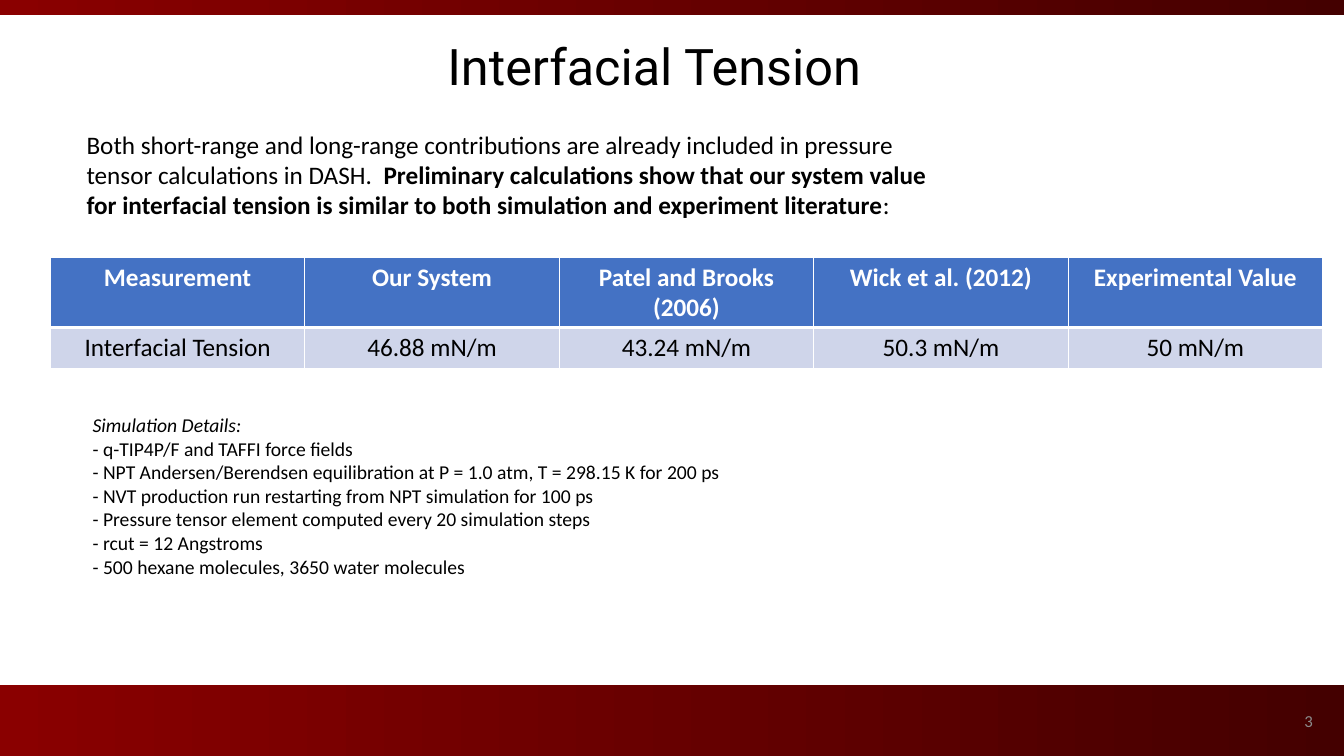
from dataclasses import dataclass

from lxml.etree import SubElement
from pptx import Presentation
from pptx.dml.color import RGBColor
from pptx.enum.shapes import MSO_SHAPE
from pptx.enum.text import MSO_ANCHOR, MSO_AUTO_SIZE, PP_ALIGN
from pptx.oxml.ns import qn
from pptx.slide import Slide
from pptx.table import _Cell
from pptx.text.text import TextFrame, _Paragraph
from pptx.util import Inches, Pt


@dataclass(frozen=True)
class Theme:
    title_font: str = "Roboto"
    body_font: str = "Calibri"
    title_size: int = 36
    body_size: int = 18
    detail_size: int = 14
    number_size: int = 12
    black: str = "000000"
    white: str = "FFFFFF"
    grey: str = "8C8C8C"
    band_start: str = "8A0000"
    band_end: str = "440000"
    header_fill: str = "4472C4"
    row_fill: str = "CFD5EA"


@dataclass(frozen=True)
class Box:
    left: float
    top: float
    width: float
    height: float

    def lengths(self) -> tuple[int, int, int, int]:
        return (Inches(self.left), Inches(self.top),
                Inches(self.width), Inches(self.height))


@dataclass(frozen=True)
class TextRun:
    text: str
    bold: bool = False
    italic: bool = False


@dataclass(frozen=True)
class RowStyle:
    height: float
    fill: str
    color: str
    bold: bool
    top_border: int
    bottom_border: int


THEME = Theme()
BANDS = [Box(0, 6.8, 13.33, 0.7), Box(0, 0, 13.33, 0.15)]
TITLE_BOX = Box(1.1, 0.3, 10.78, 0.71)
NUMBER_BOX = Box(10.12, 6.95, 3, 0.4)
SUMMARY_BOX = Box(0.76, 1.23, 8.72, 1.01)
TABLE_BOX = Box(0.5, 2.55, 12.62, 1.11)
DETAILS_BOX = Box(0.82, 4.05, 7.8, 1.75)

SUMMARY = [
    TextRun("Both short-range and long-range contributions are already included "
            "in pressure tensor calculations in DASH.  "),
    TextRun("Preliminary calculations show that our system value for interfacial "
            "tension is similar to both simulation and experiment literature", bold=True),
    TextRun(":"),
]
DETAILS = [
    "- q-TIP4P/F and TAFFI force fields",
    "- NPT Andersen/Berendsen equilibration at P = 1.0 atm, T = 298.15 K for 200 ps",
    "- NVT production run restarting from NPT simulation for 100 ps",
    "- Pressure tensor element computed every 20 simulation steps",
    "- rcut = 12 Angstroms",
    "- 500 hexane molecules, 3650 water molecules",
]
MEASUREMENTS = [
    ["Measurement", "Our System", "Patel and Brooks (2006)",
     "Wick et al. (2012)", "Experimental Value"],
    ["Interfacial Tension", "46.88 mN/m", "43.24 mN/m", "50.3 mN/m", "50 mN/m"],
]
ROW_STYLES = [
    RowStyle(0.7, THEME.header_fill, THEME.white, True, 1, 3),
    RowStyle(0.41, THEME.row_fill, THEME.black, False, 3, 1),
]


def format_runs(paragraph: _Paragraph, size: int, color: str = THEME.black,
                font: str = THEME.body_font) -> None:
    for run in paragraph.runs:
        run.font.name = font
        run.font.size = Pt(size)
        run.font.color.rgb = RGBColor.from_string(color)


def fill_text(frame: TextFrame, lines: list[list[TextRun]], size: int) -> None:
    for index, line in enumerate(lines):
        paragraph = frame.paragraphs[0] if index == 0 else frame.add_paragraph()
        for part in line:
            run = paragraph.add_run()
            run.text = part.text
            run.font.bold = part.bold
            run.font.italic = part.italic
        format_runs(paragraph, size)


def add_text_box(slide: Slide, box: Box) -> TextFrame:
    frame = slide.shapes.add_textbox(*box.lengths()).text_frame
    frame.word_wrap = True
    return frame


def add_band(slide: Slide, box: Box) -> None:
    band = slide.shapes.add_shape(MSO_SHAPE.RECTANGLE, *box.lengths())
    band.shadow.inherit = False
    band.line.fill.background()
    band.fill.gradient()
    band.fill.gradient_angle = 0
    for stop, color in zip(band.fill.gradient_stops, (THEME.band_start, THEME.band_end)):
        stop.color.rgb = RGBColor.from_string(color)


def set_title(slide: Slide, text: str) -> None:
    title = slide.shapes.title
    title.left, title.top, title.width, title.height = TITLE_BOX.lengths()
    frame = title.text_frame
    frame.text = text
    frame.word_wrap = True
    frame.auto_size = MSO_AUTO_SIZE.SHAPE_TO_FIT_TEXT
    frame.vertical_anchor = MSO_ANCHOR.TOP
    frame.paragraphs[0].alignment = PP_ALIGN.CENTER
    format_runs(frame.paragraphs[0], THEME.title_size, font=THEME.title_font)


def set_borders(cell: _Cell, style: RowStyle) -> None:
    properties = cell._tc.get_or_add_tcPr()
    widths = {"a:lnL": 1, "a:lnR": 1, "a:lnT": style.top_border, "a:lnB": style.bottom_border}
    for tag, width in widths.items():
        line = SubElement(properties, qn(tag), w=str(Pt(width)))
        SubElement(SubElement(line, qn("a:solidFill")), qn("a:srgbClr"), val=THEME.white)


def add_measurement_table(slide: Slide) -> None:
    column_count = len(MEASUREMENTS[0])
    table = slide.shapes.add_table(
        len(MEASUREMENTS), column_count, *TABLE_BOX.lengths()).table
    for column in table.columns:
        column.width = Inches(TABLE_BOX.width / column_count)
    for row, values, style in zip(table.rows, MEASUREMENTS, ROW_STYLES):
        row.height = Inches(style.height)
        for cell, value in zip(row.cells, values):
            set_borders(cell, style)
            cell.fill.solid()
            cell.fill.fore_color.rgb = RGBColor.from_string(style.fill)
            cell.text_frame.text = value
            paragraph = cell.text_frame.paragraphs[0]
            paragraph.alignment = PP_ALIGN.CENTER
            format_runs(paragraph, THEME.body_size, style.color)
            paragraph.runs[0].font.bold = style.bold


def add_slide_number(slide: Slide, number: str) -> None:
    frame = add_text_box(slide, NUMBER_BOX)
    frame.text = number
    frame.vertical_anchor = MSO_ANCHOR.MIDDLE
    frame.paragraphs[0].alignment = PP_ALIGN.RIGHT
    format_runs(frame.paragraphs[0], THEME.number_size, THEME.grey)


def main() -> None:
    presentation = Presentation()
    presentation.slide_width = Inches(13.33)
    presentation.slide_height = Inches(7.5)
    slide = presentation.slides.add_slide(
        presentation.slide_layouts.get_by_name("Title Only"))
    for band in BANDS:
        add_band(slide, band)
    add_slide_number(slide, "3")
    set_title(slide, "Interfacial Tension")
    fill_text(add_text_box(slide, SUMMARY_BOX), [SUMMARY], THEME.body_size)
    add_measurement_table(slide)
    details = [[TextRun("Simulation Details:", italic=True)]]
    details += [[TextRun(detail)] for detail in DETAILS]
    fill_text(add_text_box(slide, DETAILS_BOX), details, THEME.detail_size)
    presentation.save("out.pptx")


if __name__ == "__main__":
    main()
